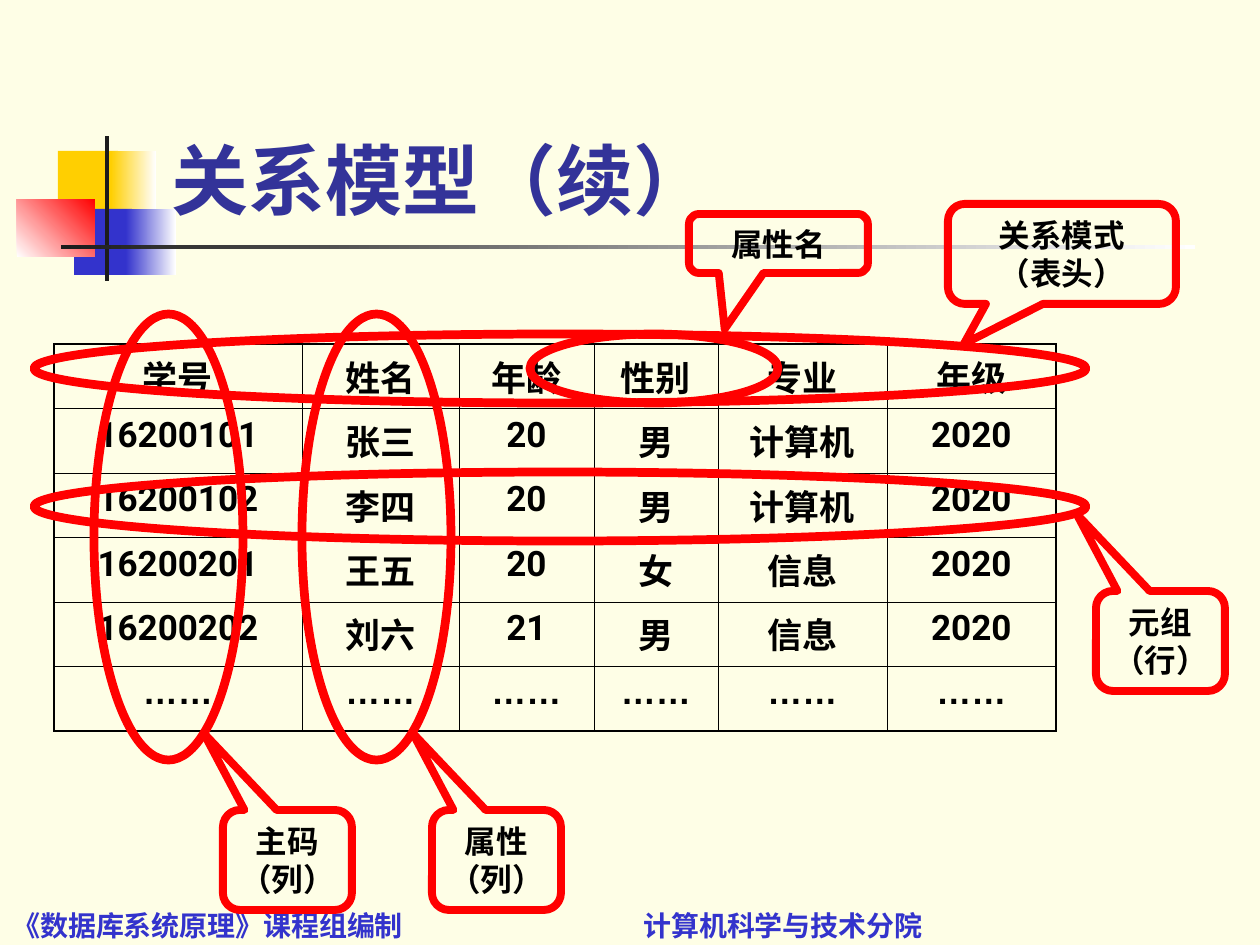
from lxml import etree
from pptx import Presentation
from pptx.dml.color import RGBColor
from pptx.enum.shapes import MSO_SHAPE
from pptx.enum.text import MSO_ANCHOR, MSO_AUTO_SIZE, PP_ALIGN
from pptx.oxml.ns import qn
from pptx.util import Pt

RECT, OVAL = MSO_SHAPE.RECTANGLE, MSO_SHAPE.OVAL
CALLOUT = MSO_SHAPE.ROUNDED_RECTANGULAR_CALLOUT
CENTER, LEFT = PP_ALIGN.CENTER, PP_ALIGN.LEFT
BOTTOM, MIDDLE = MSO_ANCHOR.BOTTOM, MSO_ANCHOR.MIDDLE
NO_FIT = MSO_AUTO_SIZE.NONE

CREAM = RGBColor(0xFE, 0xFE, 0xE6)
YELLOW = RGBColor(0xFF, 0xCF, 0x01)
BLUE = RGBColor(0x33, 0x33, 0xCC)
NAVY = RGBColor(0x33, 0x33, 0x99)
RED = RGBColor(0xFF, 0x00, 0x00)
DARK = RGBColor(0x1C, 0x1C, 0x1C)
WHITE = RGBColor(0xFF, 0xFF, 0xFF)
BLACK = RGBColor(0x00, 0x00, 0x00)

MAIN_FONT, CHINESE_FONT, DOTS_FONT = "Roboto", "Noto Sans CJK SC", "Arial"
SCALE = 914400 / 126  # EMU in one px

HEADER = ["学号", "姓名", "年龄", "性别", "专业", "年级"]
STUDENTS = [
    ["16200101", "张三", "20", "男", "计算机", "2020"],
    ["16200102", "李四", "20", "男", "计算机", "2020"],
    ["16200201", "王五", "20", "女", "信息", "2020"],
    ["16200202", "刘六", "21", "男", "信息", "2020"],
]
DOTS = "……"
COLUMN_WIDTHS = [248, 157, 135, 124, 169, 169]


def emu(*lengths):
    return [round(length * SCALE) for length in lengths]


def format_text(frame, size, color, align, latin=MAIN_FONT, east_asian=MAIN_FONT):
    for para in frame.paragraphs:
        para.alignment = align
        for span in para.runs:
            font = span.font
            font.size, font.bold, font.name = Pt(size), True, latin
            font.color.rgb = color
            etree.SubElement(font._element, qn("a:ea"), typeface=east_asian)


def add_block(page, box, color, end=None, angle=0):
    block = page.shapes.add_shape(RECT, *emu(*box))
    block.shadow.inherit = False
    block.line.fill.background()
    if end is None:
        block.fill.solid()
        block.fill.fore_color.rgb = color
        return
    block.fill.gradient()
    block.fill.gradient_angle = angle
    for stop, stop_color in zip(block.fill.gradient_stops, (color, end)):
        stop.color.rgb = stop_color


def add_decoration(page, left, top):
    blocks = [
        ((41, 15, 60, 66), YELLOW),
        ((94, 15, 45, 66), YELLOW, WHITE),
        ((57, 73, 58, 66), BLUE),
        ((109, 73, 50, 66), BLUE, WHITE),
        ((0, 63, 78, 58), WHITE, RED, 45),
        ((88, 0, 4, 145), DARK),
        ((44, 109, 1134, 4), DARK, WHITE),
    ]
    for (x, y, width, height), *paint in blocks:
        add_block(page, (left + x, top + y, width, height), *paint)


def add_title(page, box):
    title = page.shapes.title
    title.left, title.top, title.width, title.height = emu(*box)
    frame = title.text_frame
    frame.text = "关系模型（续）"
    frame.auto_size, frame.vertical_anchor = NO_FIT, BOTTOM
    format_text(frame, 44, NAVY, LEFT)
    title.element.getparent().append(title.element)  # in front of the decoration


def add_footer(page, box):
    frame = page.shapes.add_textbox(*emu(*box)).text_frame
    frame.word_wrap, frame.vertical_anchor = True, BOTTOM
    frame.text = "《数据库系统原理》课程组编制\t计算机科学与技术分院"
    properties = frame.paragraphs[0]._p.get_or_add_pPr()
    tabs = etree.SubElement(properties, qn("a:tabLst"))
    etree.SubElement(tabs, qn("a:tab"), pos=str(emu(631)[0]), algn="l")
    format_text(frame, 16, BLUE, LEFT, CHINESE_FONT, CHINESE_FONT)


def set_borders(cell, widths):
    properties = cell._tc.get_or_add_tcPr()
    for index, (side, width) in enumerate(widths.items()):
        line = etree.Element(qn("a:ln" + side), w=str(Pt(width)))
        fill = etree.SubElement(line, qn("a:solidFill"))
        etree.SubElement(fill, qn("a:srgbClr"), val=str(BLACK))
        properties.insert(index, line)


def add_student_table(page, box):
    rows = [HEADER, *STUDENTS, [DOTS] * len(HEADER)]
    last_row, last_column = len(rows) - 1, len(HEADER) - 1
    table = page.shapes.add_table(len(rows), len(HEADER), *emu(*box)).table
    table.first_row = table.horz_banding = False
    for column, width in zip(table.columns, emu(*COLUMN_WIDTHS)):
        column.width = width
    for r, row in enumerate(rows):
        for c, value in enumerate(row):
            cell = table.cell(r, c)
            cell.text = value
            cell.fill.background()
            fonts = (DOTS_FONT, DOTS_FONT) if value == DOTS else (MAIN_FONT, CHINESE_FONT)
            format_text(cell.text_frame, 20, BLACK, CENTER, *fonts)
            outer = {"L": c == 0, "R": c == last_column, "T": r == 0, "B": r == last_row}
            set_borders(cell, {side: 1.08 if edge else 0.45 for side, edge in outer.items()})


def add_outline(page, kind, box, weight):
    shape = page.shapes.add_shape(kind, *emu(*box))
    shape.shadow.inherit = False
    shape.fill.background()
    shape.line.color.rgb = RED
    shape.line.width = Pt(weight)
    return shape


def add_annotation(page, ring_box, label_box, pointer, label):
    add_outline(page, OVAL, ring_box, 5)
    callout = add_outline(page, CALLOUT, label_box, 4.5)
    for index, value in enumerate((*pointer, 0.17)):
        callout.adjustments[index] = value
    frame = callout.text_frame
    frame.text = label
    # Labels keep their own line breaks
    frame.word_wrap, frame.vertical_anchor = False, MIDDLE
    format_text(frame, 18, BLACK, CENTER)


def add_annotations(page, left, top):
    """Ring parts of the table whose top left corner is given."""
    row_size, column_size, small_label = (1052, 69), (149, 446), (129, 100)
    corner_pointer = (-0.65, -1.27)
    annotations = [
        ((-20, -10, *row_size), (894, -140, 228, 100), (-0.43, 0.9), "关系模式\n（表头）"),
        ((-20, 128, *row_size), (1042, 247, *small_label), corner_pointer, "元组\n（行）"),
        ((248, -30, *column_size), (378, 466, *small_label), corner_pointer, "属性\n（列）"),
        ((476, -10, 248, 69), (635, -130, 179, 59), (-0.3, 1.45), "属性名"),
        ((40, -30, *column_size), (169, 466, *small_label), corner_pointer, "主码\n（列）"),
    ]
    for ring, label_box, pointer, label in annotations:
        boxes = [(left + x, top + y, w, h) for x, y, w, h in (ring, label_box)]
        add_annotation(page, *boxes, pointer, label)


def main():
    deck = Presentation()
    deck.slide_width, deck.slide_height = emu(1260, 945)
    page = deck.slides.add_slide(deck.slide_layouts[5])
    page.background.fill.solid()
    page.background.fill.fore_color.rgb = CREAM
    add_decoration(page, 17, 136)
    add_footer(page, (0, 918, 1260, 30))
    add_title(page, (159, 29, 1073, 202))
    add_student_table(page, (54, 344, sum(COLUMN_WIDTHS), 387))
    add_annotations(page, 54, 344)
    deck.save("out.pptx")


if __name__ == "__main__":
    main()
